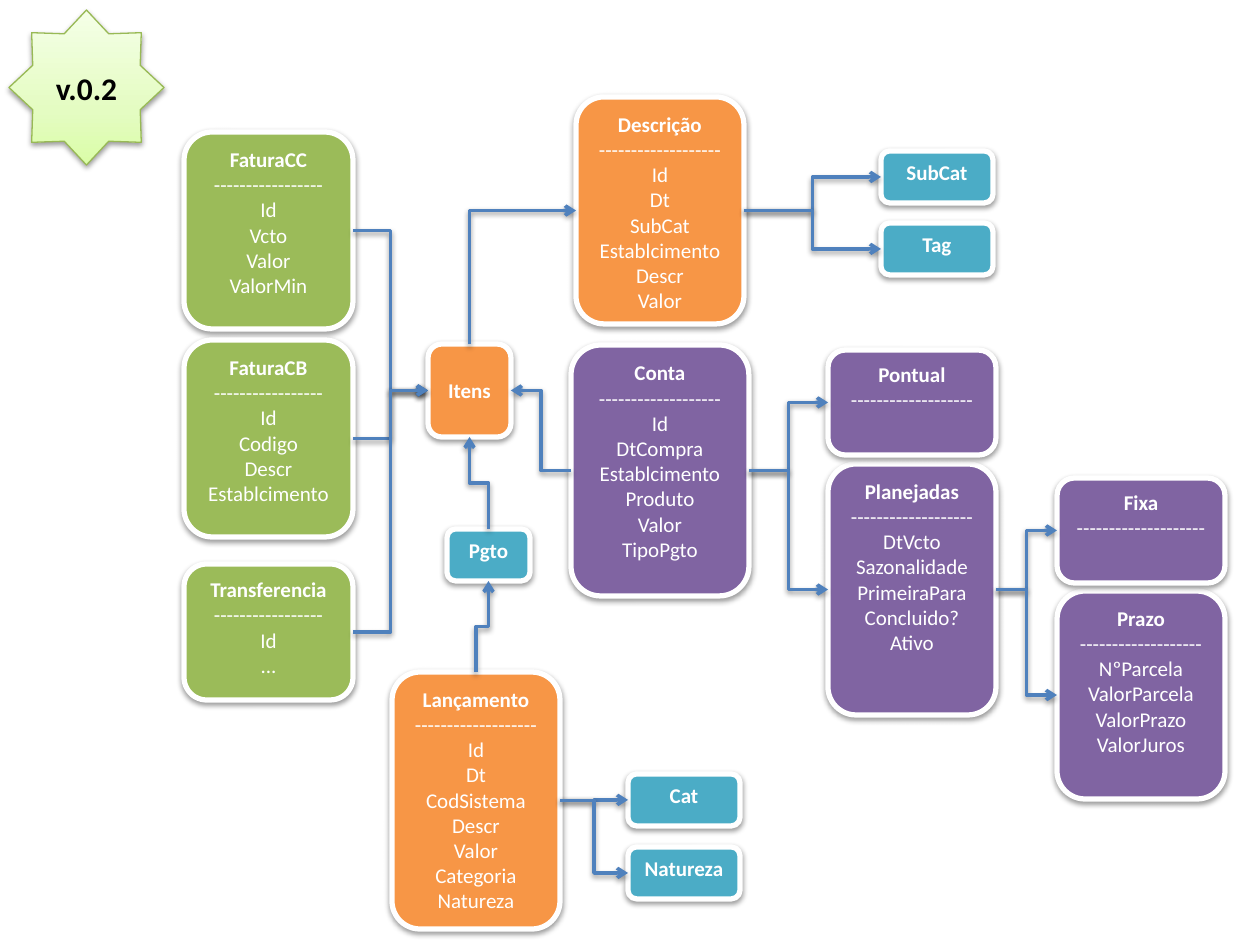
from copy import deepcopy

from lxml import etree
from pptx import Presentation
from pptx import util as u
from pptx.dml.color import RGBColor
from pptx.enum import shapes, text
from pptx.oxml.ns import qn

COLORS = {
    "purple": "8064A2", "green": "9BBB59", "orange": "F79646", "teal": "4BACC6",
    "link": "4F81BD", "white": "FFFFFF", "black": "000000", "star_line": "98B955",
}
STAR_STOPS = [(0, "DAFDA7"), (0.35, "E4FCC2"), (1, "F5FFE7")]
TOP, LEFT, BOTTOM, RIGHT = range(4)

# heading: (color, left, top, width, height, dashes, fields)
ENTITIES = {
    "Conta": ("purple", 571, 345, 178, 251, 19,
              "Id DtCompra Establcimento Produto Valor TipoPgto"),
    "Planejadas": ("purple", 828, 464, 168, 251, 19,
                   "DtVcto Sazonalidade PrimeiraPara Concluido? Ativo"),
    "Prazo": ("purple", 1057, 591, 168, 208, 19,
              "NºParcela ValorParcela ValorPrazo ValorJuros"),
    "Fixa": ("purple", 1057, 478, 168, 105, 20, ""),
    "Pontual": ("purple", 828, 350, 168, 105, 19, ""),
    "FaturaCC": ("green", 184, 132, 169, 197, 17, "Id Vcto Valor ValorMin"),
    "FaturaCB": ("green", 184, 340, 169, 197, 17, "Id Codigo Descr Establcimento"),
    "Transferencia": ("green", 184, 564, 169, 136, 17, "Id ..."),
    "Itens": ("orange", 428, 344, 83, 93, 0, ""),
    "Descrição": ("orange", 576, 97, 168, 227, 19,
                  "Id Dt SubCat Establcimento Descr Valor"),
    "Lançamento": ("orange", 392, 672, 168, 257, 19,
                   "Id Dt CodSistema Descr Valor Categoria Natureza"),
    "SubCat": ("teal", 881, 151, 112, 52, 0, ""),
    "Tag": ("teal", 881, 223, 112, 52, 0, ""),
    "Pgto": ("teal", 447, 529, 83, 52, 0, ""),
    "Cat": ("teal", 628, 774, 112, 52, 0, ""),
    "Natureza": ("teal", 628, 847, 112, 52, 0, ""),
}

LINKS = [
    ("FaturaCC", RIGHT, "Itens", LEFT),
    ("FaturaCB", RIGHT, "Itens", LEFT),
    ("Transferencia", RIGHT, "Itens", LEFT),
    ("Conta", LEFT, "Itens", RIGHT),
    ("Conta", RIGHT, "Pontual", LEFT),
    ("Conta", RIGHT, "Planejadas", LEFT),
    ("Planejadas", RIGHT, "Fixa", LEFT),
    ("Planejadas", RIGHT, "Prazo", LEFT),
    ("Itens", TOP, "Descrição", LEFT),
    ("Descrição", RIGHT, "SubCat", LEFT),
    ("Descrição", RIGHT, "Tag", LEFT),
    ("Lançamento", TOP, "Pgto", BOTTOM),
    ("Pgto", TOP, "Itens", BOTTOM),
    ("Lançamento", RIGHT, "Cat", LEFT),
    ("Lançamento", RIGHT, "Natureza", LEFT),
]


def px(pixels):
    """Turn pixels into EMU."""
    return u.Emu(round(pixels * 914400 / 126))


def rgb(name):
    """Return the named color."""
    return RGBColor.from_string(COLORS[name])


class Diagram:
    """Draws entities and links in one style on one slide."""

    font = "Calibri"

    def __init__(self, slide):
        """Keep the slide and the entities drawn so far."""
        self.slide = slide
        self.entities = {}

    def shadow(self, properties):
        """Put a soft downward shadow into the shape properties."""
        effects = properties.find(qn("a:effectLst"))
        if effects is None:
            effects = etree.SubElement(properties, qn("a:effectLst"))
        outer = etree.SubElement(effects, qn("a:outerShdw"), blurRad="40000",
                                 dist="20000", dir="5400000", rotWithShape="0")
        color = etree.SubElement(outer, qn("a:srgbClr"), val=COLORS["black"])
        etree.SubElement(color, qn("a:alpha"), val="38000")

    def shape(self, kind, box, line, width, lines, size, color, anchor):
        """Add a preset shape with centred lines, the first one bold."""
        shape = self.slide.shapes.add_shape(kind, *map(px, box))
        shape.line.color.rgb = rgb(line)
        shape.line.width = u.Pt(width)
        shape.shadow.inherit = False
        self.shadow(shape._element.spPr)
        frame = shape.text_frame
        frame.word_wrap = True
        frame.vertical_anchor = anchor
        frame.text = "\n".join(lines)
        for index, paragraph in enumerate(frame.paragraphs):
            paragraph.alignment = text.PP_ALIGN.CENTER
            font = paragraph.runs[0].font
            font.name, font.size, font.bold = self.font, u.Pt(size), index == 0
            font.color.rgb = rgb(color)
        return shape

    def entity(self, name, color, left, top, width, height, dashes, fields):
        """Add a rounded box with a heading, a dashed rule and fields."""
        lines = [name] + ["-" * dashes] * bool(dashes) + fields.split()
        anchor = text.MSO_ANCHOR.MIDDLE if name == "Itens" else text.MSO_ANCHOR.TOP
        shape = self.shape(shapes.MSO_SHAPE.ROUNDED_RECTANGLE,
                           (left, top, width, height), "white", 3, lines, 12,
                           "white", anchor)
        shape.fill.solid()
        shape.fill.fore_color.rgb = rgb(color)
        self.entities[name] = shape

    def star(self, label, box):
        """Add the version star with a gradient of three stops."""
        shape = self.shape(shapes.MSO_SHAPE.STAR_8_POINT, box, "star_line", 0.75,
                           [label], 18, "black", text.MSO_ANCHOR.MIDDLE)
        shape.fill.gradient()
        shape.fill.gradient_angle = 90
        stops = shape._element.spPr.find(".//" + qn("a:gsLst"))
        stops.append(deepcopy(stops[0]))
        for stop, (position, color) in zip(shape.fill.gradient_stops, STAR_STOPS):
            stop.position = position
            stop.color.rgb = RGBColor.from_string(color)

    def link(self, source, source_side, target, target_side):
        """Join two entities with an elbow arrow."""
        connector = self.slide.shapes.add_connector(
            shapes.MSO_CONNECTOR.ELBOW, 0, 0, 0, 0)
        connector.begin_connect(self.entities[source], source_side)
        connector.end_connect(self.entities[target], target_side)
        connector.line.color.rgb = rgb("link")
        connector.line.width = u.Pt(2)
        properties = connector._element.spPr
        etree.SubElement(properties.find(qn("a:ln")), qn("a:tailEnd"), type="arrow")
        self.shadow(properties)
        if source_side == TOP:
            self.turn_up(connector)
            if target_side == LEFT:
                properties.find(qn("a:prstGeom")).set("prst", "bentConnector2")

    def turn_up(self, connector):
        """Rotate an elbow so that it leaves its source upwards."""
        leftward = connector.end_x < connector.begin_x
        width, height = connector.width, connector.height
        shift = (width - height) // 2
        connector.left, connector.top = connector.left + shift, connector.top - shift
        connector.width, connector.height = height, width
        transform = connector._element.spPr.find(qn("a:xfrm"))
        transform.set("rot", str(270 * 60000))
        transform.set("flipH", "0")
        transform.set("flipV", str(int(leftward)))


def main():
    """Build the slide and save it."""
    presentation = Presentation()
    presentation.slide_width, presentation.slide_height = u.Inches(10), u.Inches(7.5)
    diagram = Diagram(presentation.slides.add_slide(presentation.slide_layouts[6]))
    for name, details in ENTITIES.items():
        diagram.entity(name, *details)
    for ends in LINKS:
        diagram.link(*ends)
    diagram.star("v.0.2", (9, 10, 155, 155))
    presentation.save("out.pptx")


main()
